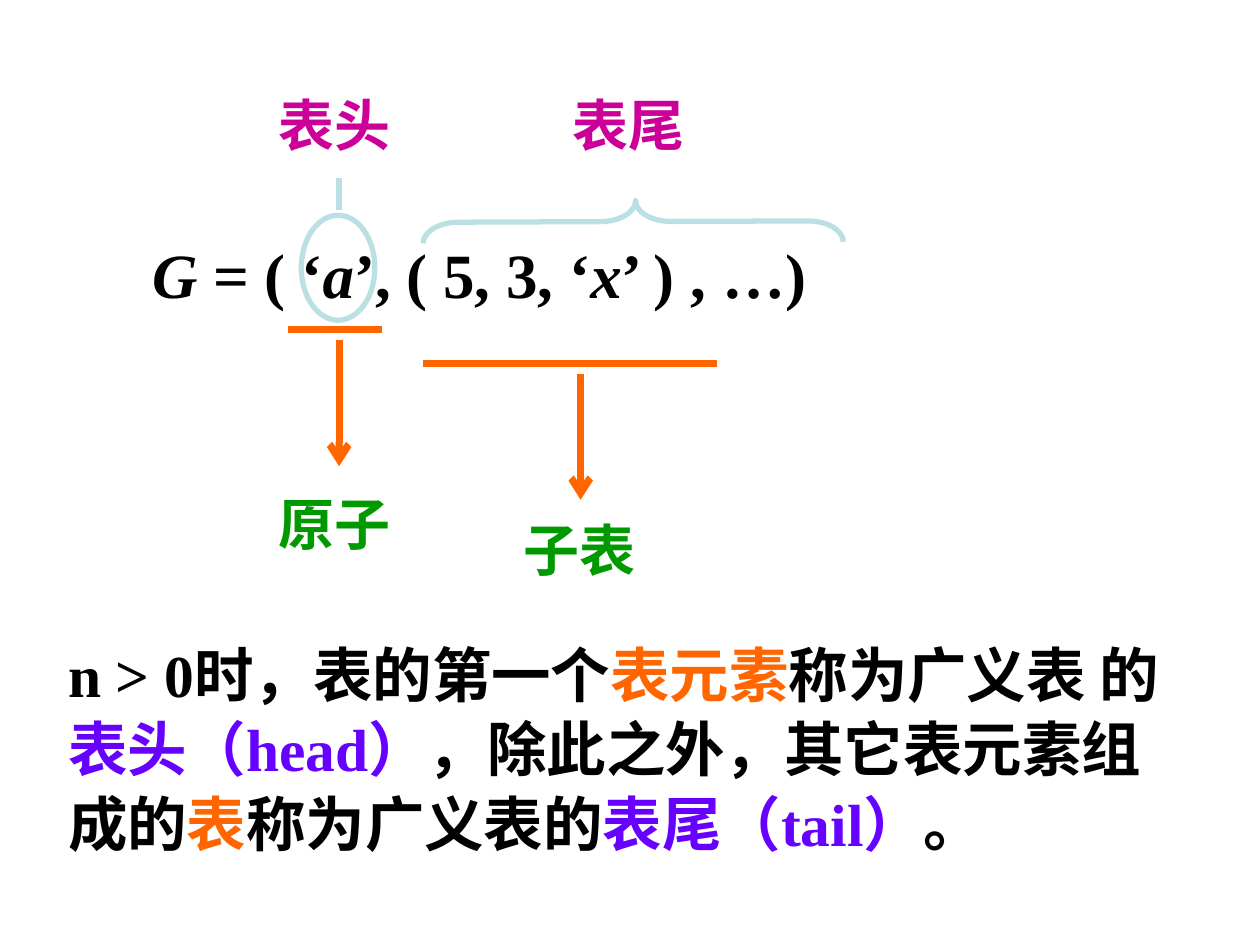
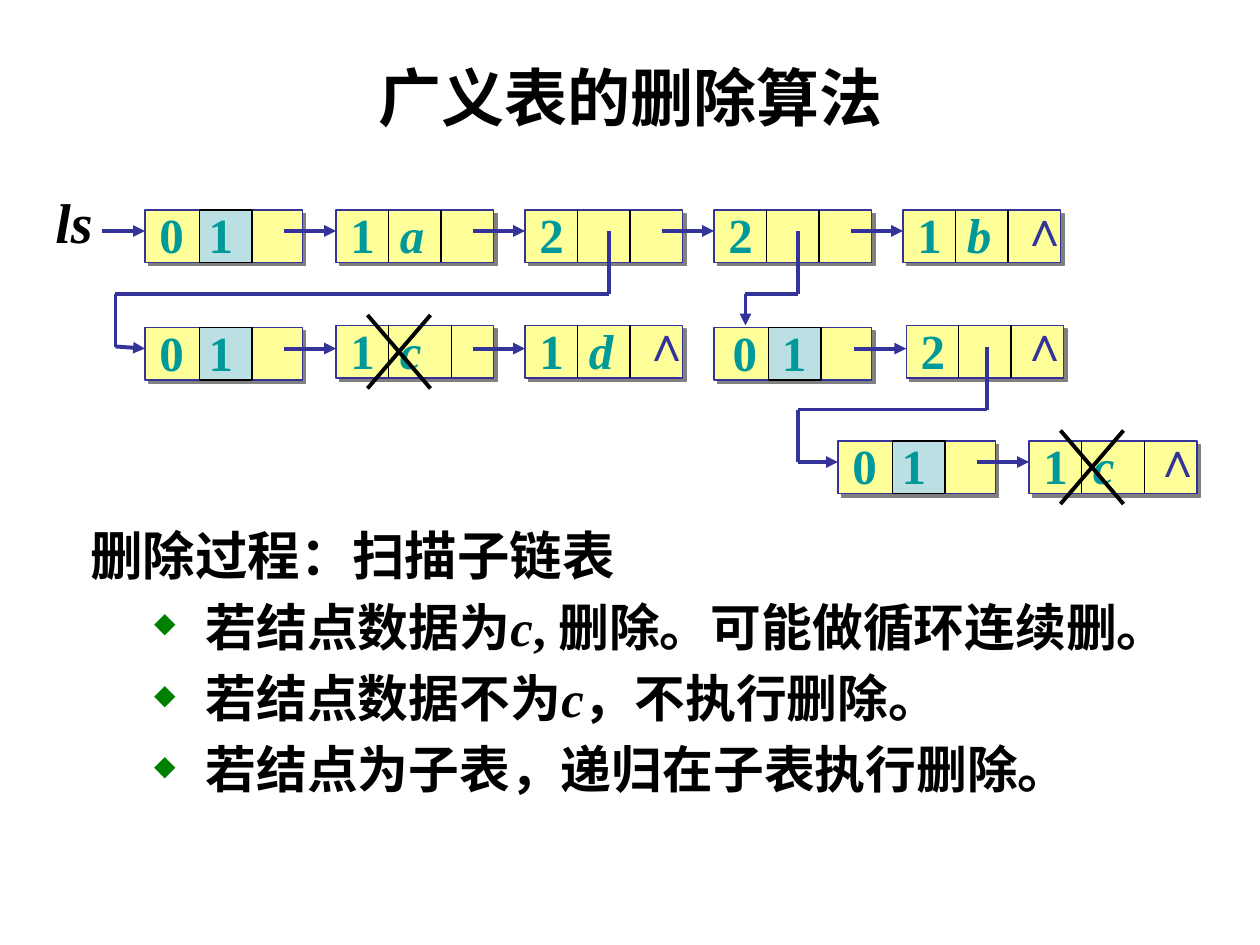
from dataclasses import dataclass
from itertools import pairwise

from lxml.etree import SubElement
from pptx import Presentation
from pptx.dml.color import RGBColor
from pptx.enum.shapes import MSO_CONNECTOR, MSO_SHAPE
from pptx.enum.text import MSO_ANCHOR, MSO_AUTO_SIZE, PP_ALIGN
from pptx.oxml.ns import qn
from pptx.util import Emu, Pt

EMU_PER_PX = 7620
BLACK = RGBColor(0x00, 0x00, 0x00)
ORANGE = RGBColor(0xFF, 0x66, 0x00)
VIOLET = RGBColor(0x66, 0x00, 0xFF)
GREEN = RGBColor(0x00, 0x99, 0x00)
MAGENTA = RGBColor(0xCC, 0x00, 0x99)
PALE_BLUE = RGBColor(0xBB, 0xE0, 0xE3)
YELLOW = RGBColor(0xFF, 0xFF, 0x99)
NAVY = RGBColor(0x33, 0x33, 0x99)
TEAL = RGBColor(0x00, 0x99, 0x99)
BULLET_GREEN = RGBColor(0x00, 0x80, 0x00)
SHADOW_GREY = RGBColor(0x80, 0x80, 0x80)
SERIF = "Times New Roman"
CELL_HEIGHT = 50
ITALIC = {"italic": True}


@dataclass
class Node:
    """A list node: its place, the text of its cells and its variations."""
    left: int
    top: int
    tag: str
    data: str = ""
    header: bool = False
    lead: int = 50
    width: int = 150
    second_divider: int = 100
    text_left: int = 2
    end_mark: int = 0
    deleted: bool = False


ROWS = {
    20: [Node(0, 0, "0", "1", header=True, lead=41), Node(182, 0, "1", "a"),
         Node(362, 0, "2"), Node(542, 0, "2"), Node(722, 0, "1", "b", end_mark=100)],
    132: [Node(0, 112, "0", "1", header=True, lead=0),
          Node(182, 110, "1", "c", second_divider=110, deleted=True),
          Node(362, 110, "1", "d", end_mark=100),
          Node(542, 112, "0", "1", header=True, lead=0, text_left=6),
          Node(725, 110, "2", end_mark=97)],
    240: [Node(660, 220, "0", "1", header=True, lead=0),
          Node(842, 220, "1", "c", width=160, second_divider=110, end_mark=107,
               deleted=True)],
}
SUBLIST_LINKS = [
    [(442, 20), (442, 80), (-28, 80), (-28, 130), (0, 132)],
    [(622, 20), (622, 80), (572, 80), (572, 110)],
    [(802, 130), (802, 190), (622, 190), (622, 240), (660, 240)],
]


def px(*lengths):
    """Turn lengths in px into a list of EMU."""
    return [Emu(length * EMU_PER_PX) for length in lengths]


def write(paragraph, runs, size, color, name=SERIF):
    """Fill a paragraph with bold runs given as text and format overrides."""
    for text, changes in runs:
        run = paragraph.add_run()
        run.text = text
        look = {"name": name, "size": Pt(size), "bold": True, "italic": False}
        look.update(changes)
        run.font.color.rgb = look.pop("color", color)
        for attribute, value in look.items():
            setattr(run.font, attribute, value)


def add_text(slide, box, runs, size, color, spacing=None, wrap=False, tab=None):
    """Add a text box holding one paragraph."""
    frame = slide.shapes.add_textbox(*px(*box)).text_frame
    frame.word_wrap = wrap
    frame.auto_size = MSO_AUTO_SIZE.SHAPE_TO_FIT_TEXT
    paragraph = frame.paragraphs[0]
    if tab:
        stops = SubElement(paragraph._p.get_or_add_pPr(), qn("a:tabLst"))
        SubElement(stops, qn("a:tab"), pos=str(tab * EMU_PER_PX), algn="l")
    if spacing:
        paragraph.line_spacing = spacing
    write(paragraph, runs, size, color)


def add_line(slide, start, end, color, width, head=None):
    """Add a straight line, with an arrowhead at its end if one is named."""
    line = slide.shapes.add_connector(MSO_CONNECTOR.STRAIGHT, *px(*start, *end))
    line.line.color.rgb = color
    line.line.width = Pt(width)
    if head:
        SubElement(line.line._get_or_add_ln(), qn("a:tailEnd"), type=head)
    SubElement(line._element.spPr, qn("a:effectLst"))


def add_figure(slide, kind, box, color, width, fill=None):
    """Add an outlined preset shape, filled only if a fill is given."""
    figure = slide.shapes.add_shape(kind, *px(*box))
    figure.shadow.inherit = False
    figure.line.color.rgb = color
    figure.line.width = Pt(width)
    if fill is None:
        figure.fill.background()
    else:
        figure.fill.solid()
        figure.fill.fore_color.rgb = fill
    return figure


def cast_shadow(figure):
    """Give a shape a hard grey shadow to the lower right."""
    effects = figure._element.spPr.find(qn("a:effectLst"))
    shadow = SubElement(effects, qn("a:outerShdw"), dist=str(Pt(2.8)),
                        dir="2700000", algn="ctr", rotWithShape="0")
    SubElement(shadow, qn("a:srgbClr"), val=str(SHADOW_GREY))


def draw_expression(slide, left, top):
    """Draw the list G with its head, tail, atom and sublist marked."""
    formula = [("G", ITALIC), (" = ( ‘", {}), ("a", ITALIC),
               ("’, ( 5, 3, ‘", {}), ("x", ITALIC), ("’ ) , …)", {})]
    add_text(slide, (left, top + 135, 712, 88), formula, 36, BLACK, spacing=1.05)
    for term, x, y, color in (("原子", 120, 380, GREEN), ("子表", 354, 405, GREEN),
                              ("表头", 120, 0, MAGENTA), ("表尾", 400, 0, MAGENTA)):
        add_text(slide, (left + x, top + y, 131, 76), [(term, {})], 32, color)
    for x, end, y, stem in ((141, 231, 234, 190), (270, 550, 266, 420)):
        add_line(slide, (left + x, top + y), (left + end, top + y), ORANGE, 4)
        add_line(slide, (left + stem, top + y + 10), (left + stem, top + y + 130),
                 ORANGE, 4, "arrow")
    add_figure(slide, MSO_SHAPE.OVAL, (left + 154, top + 125, 70, 100), PALE_BLUE, 3)
    brace = add_figure(slide, MSO_SHAPE.LEFT_BRACE,
                       (left + 450, top - 69, 40, 400), PALE_BLUE, 3)
    brace.rotation = 89.8
    brace.adjustments[0], brace.adjustments[1] = 0.842, 0.494
    add_line(slide, (left + 190, top + 90), (left + 190, top + 120), PALE_BLUE, 3)


def draw_definition(slide, box):
    """Write the definition of head and tail."""
    orange, violet = {"color": ORANGE}, {"color": VIOLET}
    add_text(slide, box, [
        ("n > 0时，表的第一个", {}), ("表元素", orange), ("称为广义表 的", {}),
        ("表头（head）", violet), ("，除此之外，其它表元素组成的", {}),
        ("表", orange), ("称为广义表的", {}), ("表尾（tail）", violet), ("。", {}),
    ], 34, BLACK, spacing=1.05, wrap=True)


def draw_node(slide, node, left, top, arrow_y):
    """Draw a node with its left top corner given, and the arrow leading to it."""
    body = add_figure(slide, MSO_SHAPE.RECTANGLE,
                      (left, top, node.width, CELL_HEIGHT), NAVY, 0.75, YELLOW)
    cast_shadow(body)
    if node.lead:
        add_line(slide, (left - node.lead, arrow_y), (left, arrow_y),
                 NAVY, 2.25, "triangle")
    if node.header:
        add_figure(slide, MSO_SHAPE.RECTANGLE, (left + 52, top, 50, CELL_HEIGHT),
                   BLACK, 0.75, PALE_BLUE)
    else:
        for x in (left + 50, left + node.second_divider):
            add_line(slide, (x, top), (x, top + CELL_HEIGHT), BLACK, 0.75)
    runs = [(node.tag, {})]
    if node.data:
        runs = [(node.tag + "\t", {}), (node.data, {"italic": not node.header})]
    add_text(slide, (left + node.text_left, top - 11, 94 if node.data else 48, 68),
             runs, 28, TEAL, tab=47 if node.data else None)
    if node.end_mark:
        add_text(slide, (left + node.end_mark, top - 18, 53, 68),
                 [("∧", {})], 28, NAVY)
    if node.deleted:
        for x, end in ((30, 90), (90, 30)):
            add_line(slide, (left + x, top - 10), (left + end, top + 60), BLACK, 2.25)


def draw_linked_list(slide, left, top):
    """Draw the rows of nodes and the links down to the sublists."""
    add_text(slide, (left - 97, top - 27, 60, 76), [("ls", ITALIC)], 32, BLACK)
    for arrow_y, nodes in ROWS.items():
        for node in nodes:
            draw_node(slide, node, left + node.left, top + node.top, top + arrow_y)
    for link in SUBLIST_LINKS:
        corners = [(left + x, top + y) for x, y in link]
        for start, end in pairwise(corners):
            head = "triangle" if end == corners[-1] else None
            add_line(slide, start, end, NAVY, 2.25, head)


def add_diamond_bullet(paragraph):
    """Indent a paragraph behind a small green diamond."""
    properties = paragraph._p.get_or_add_pPr()
    properties.set("marL", str(110 * EMU_PER_PX))
    properties.set("indent", str(-49 * EMU_PER_PX))
    color = SubElement(properties, qn("a:buClr"))
    SubElement(color, qn("a:srgbClr"), val=str(BULLET_GREEN))
    SubElement(properties, qn("a:buSzPct"), val="55000")
    SubElement(properties, qn("a:buChar"), char="◆")


def draw_steps(slide, box):
    """Write the deletion process and its three cases."""
    frame = slide.shapes.add_textbox(*px(*box)).text_frame
    frame.word_wrap = True
    write(frame.paragraphs[0], [("删除过程：扫描子链表", {})], 30, BLACK)
    for case in (
        [("若结点数据为", {}), ("c", ITALIC), (", 删除。可能做循环连续删。", {})],
        [("若结点数据不为", {}), ("c", ITALIC), ("，不执行删除。", {})],
        [("若结点为子表，递归在子表执行删除。", {})],
    ):
        paragraph = frame.add_paragraph()
        add_diamond_bullet(paragraph)
        paragraph.space_before = Pt(5.8)
        write(paragraph, case, 29, BLACK)


def draw_title(slide, text, box):
    """Place and format the title placeholder."""
    title = slide.shapes.title
    title.left, title.top, title.width, title.height = px(*box)
    frame = title.text_frame
    frame.auto_size = MSO_AUTO_SIZE.NONE
    frame.vertical_anchor = MSO_ANCHOR.MIDDLE
    frame.paragraphs[0].alignment = PP_ALIGN.CENTER
    write(frame.paragraphs[0], [(text, {})], 36, BLACK, "Arial")


def main():
    """Build both slides and save them."""
    deck = Presentation()
    deck.slide_width, deck.slide_height = px(1200, 900)
    title_only, blank = deck.slide_layouts[5], deck.slide_layouts[6]

    head_and_tail = deck.slides.add_slide(blank)
    draw_expression(head_and_tail, 133, 80)
    draw_definition(head_and_tail, (53, 598, 1102, 228))

    deletion = deck.slides.add_slide(title_only)
    draw_title(deletion, "广义表的删除算法", (60, 42, 1080, 100))
    draw_linked_list(deletion, 138, 200)
    draw_steps(deletion, (74, 492, 1098, 329))
    deck.save("out.pptx")


if __name__ == "__main__":
    main()
